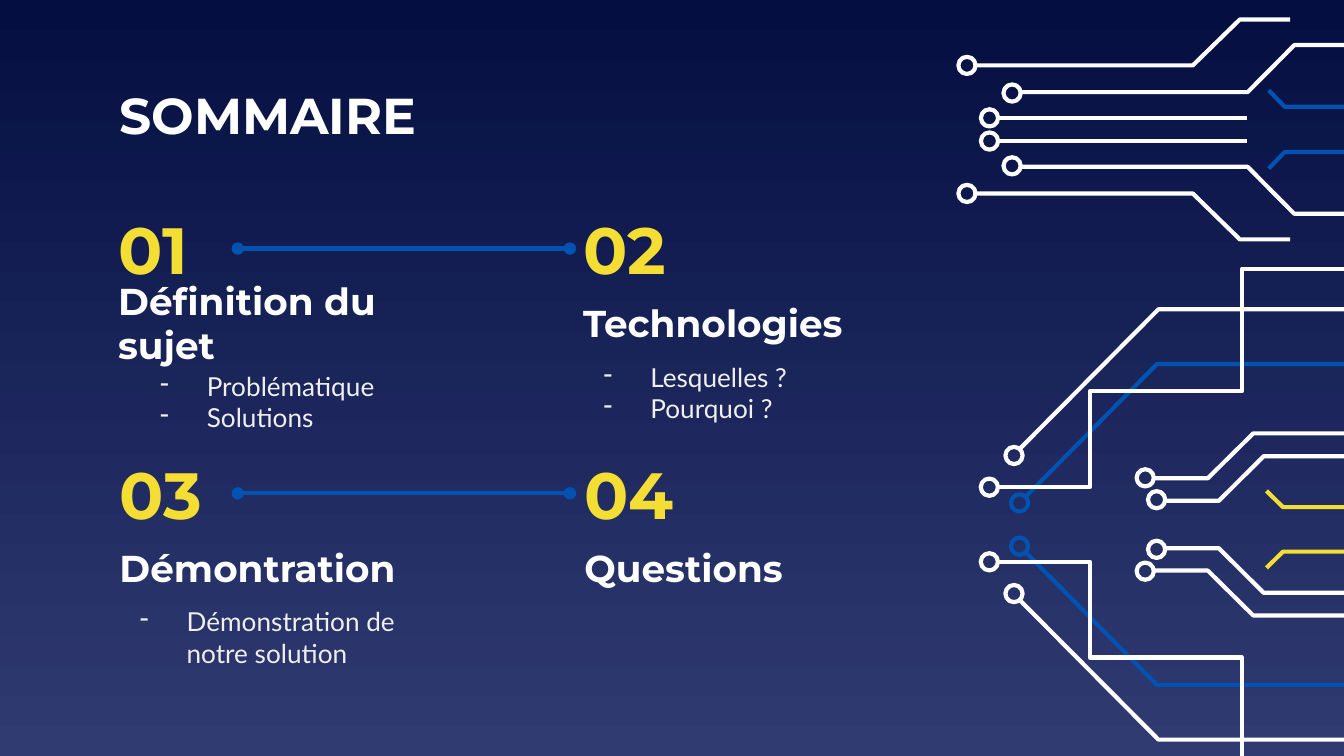
"""Build the SOMMAIRE slide: four numbered topics beside a mirrored circuit pattern."""
from dataclasses import dataclass

from lxml.etree import SubElement
from pptx import Presentation
from pptx.dml.color import RGBColor
from pptx.enum.shapes import MSO_CONNECTOR, MSO_SHAPE
from pptx.enum.text import MSO_ANCHOR, PP_ALIGN
from pptx.oxml.ns import qn
from pptx.util import Pt


@dataclass(frozen=True)
class Theme:
    sky: str = "040E41"
    ground: str = "303B72"
    white: str = "FFFFFF"
    blue: str = "0152B1"
    yellow: str = "F5DE34"
    pale: str = "EFEFEF"
    heading_font: str = "Montserrat"
    body_font: str = "Lato"
    title_size: float = 27
    number_size: float = 35
    topic_size: float = 20
    body_size: float = 14
    stroke: float = 2.25
    inset: float = 7.2
    node: float = 9.2


class CircuitSlide:
    def __init__(self, slide, theme):
        self.slide = slide
        self.theme = theme

    def background(self):
        fill = self.slide.background.fill
        fill.gradient()
        fill.gradient_angle = 270
        for stop, color in zip(fill.gradient_stops, (self.theme.sky, self.theme.ground)):
            stop.color.rgb = RGBColor.from_string(color)

    def stroke(self, shape, color):
        shape.line.color.rgb = RGBColor.from_string(color)
        shape.line.width = Pt(self.theme.stroke)

    def outline(self, shape, color):
        shape.shadow.inherit = False
        shape.fill.background()
        self.stroke(shape, color)

    def trace(self, points, color):
        start, *rest = [(Pt(x), Pt(y)) for x, y in points]
        builder = self.slide.shapes.build_freeform(*start)
        builder.add_line_segments(rest, close=False)
        self.outline(builder.convert_to_shape(), color)

    def node(self, center, color):
        x, y = center
        size = self.theme.node
        self.outline(self.slide.shapes.add_shape(
            MSO_SHAPE.OVAL, Pt(x - size / 2), Pt(y - size / 2), Pt(size), Pt(size)), color)

    def mirrored(self, axis, color, center, points):
        for side in (-1, 1):
            self.trace([(x, axis + side * gap) for x, gap in points], color)
            if center:
                self.node((center[0], axis + side * center[1]), color)

    def link(self, left, right, y):
        link = self.slide.shapes.add_connector(
            MSO_CONNECTOR.STRAIGHT, Pt(left), Pt(y), Pt(right), Pt(y))
        self.stroke(link, self.theme.blue)
        for end in ("a:headEnd", "a:tailEnd"):
            SubElement(link.line._get_or_add_ln(), qn(end), type="oval")
        SubElement(link._element.spPr, qn("a:effectLst"))

    def text(self, lines, left, top, width, height, size, color, heading=True):
        frame = self.slide.shapes.add_textbox(Pt(left), Pt(top), Pt(width), Pt(height)).text_frame
        frame.word_wrap = True
        frame.vertical_anchor = MSO_ANCHOR.MIDDLE
        frame.margin_left = frame.margin_right = Pt(self.theme.inset)
        frame.margin_top = frame.margin_bottom = Pt(self.theme.inset)
        frame.text = "\n".join(lines)
        for paragraph in frame.paragraphs:
            paragraph.alignment = PP_ALIGN.LEFT
            font = paragraph.font
            font.name = self.theme.heading_font if heading else self.theme.body_font
            font.size = Pt(size)
            font.bold = heading
            font.color.rgb = RGBColor.from_string(color)
        return frame

    def details(self, lines, bulleted, left, top):
        frame = self.text(lines, left, top, 173.5, 41.8,
                          self.theme.body_size, self.theme.pale, heading=False)
        for index, paragraph in enumerate(frame.paragraphs):
            properties = paragraph._p.get_or_add_pPr()
            properties.set("marL", str(Pt(36)))
            properties.set("indent", str(Pt(-25 if index < bulleted else 0)))
            if index < bulleted:
                bullet = SubElement(properties, qn("a:buChar"), char="-")
                properties.insert(0, bullet)

    def topic(self, number, name, left, top):
        theme = self.theme
        self.text([number], left, top, 71.3, 41.8, theme.number_size, theme.yellow)
        self.text([name], left, top + 41.8, 173.5, 37.4, theme.topic_size, theme.white)


theme = Theme()
deck = Presentation()
deck.slide_width, deck.slide_height = Pt(720), Pt(405)
summary = CircuitSlide(deck.slides.add_slide(deck.slide_layouts[6]), theme)
summary.background()

UPPER_AXIS, LOWER_AXIS, SPARK_AXIS = 69.35, 281, 283.6
EDGE = 720
circuits = [
    (UPPER_AXIS, theme.blue, None, [(679.7, 21), (688.3, 12.1), (EDGE, 12.1)]),
    (UPPER_AXIS, theme.white, (518, 34.3),
     [(521.5, 34.3), (639, 34.3), (664.2, 58.9), (691.2, 58.9)]),
    (UPPER_AXIS, theme.white, (542.2, 19.5),
     [(545.8, 20), (668.4, 20), (693.4, 45.2), (EDGE, 45.2)]),
    (UPPER_AXIS, theme.white, (530.1, 6.2), [(533.5, 6.3), (668.2, 6.3)]),
    (SPARK_AXIS, theme.yellow, None, [(678.5, 20.6), (687.4, 11.9), (EDGE, 11.9)]),
    (LOWER_AXIS, theme.white, (619.6, 13.3),
     [(623.5, 12.7), (653, 12.7), (677, 36.6), (EDGE, 36.6)]),
    (LOWER_AXIS, theme.white, (613.5, 25),
     [(617.8, 24.7), (647, 24.7), (671.4, 48.8), (EDGE, 48.8)]),
    (LOWER_AXIS, theme.blue, (546.2, 11.6), [(548.6, 14), (619.9, 86), (EDGE, 86)]),
    (LOWER_AXIS, theme.white, (543.2, 37), [(545.8, 40), (620.6, 115.3), (EDGE, 115.3)]),
]
for circuit in circuits:
    summary.mirrored(*circuit)

stair = [(533.5, 20), (583.9, 20), (583.9, 71.3), (665.3, 71.3)]
stair_ends = {-1: [(665.3, 137), (EDGE, 137)], 1: [(665.3, 124)]}
for side, ending in stair_ends.items():
    summary.trace([(x, LOWER_AXIS + side * gap) for x, gap in stair + ending], theme.white)
    summary.node((530, LOWER_AXIS + side * 20), theme.white)

summary.text(["SOMMAIRE"], 56.9, 42.5, 422.6, 37.4, theme.title_size, theme.white)

topic_rows = [
    (56.2, 112.3, [("01", "Définition du sujet"), ("02", "Technologies")]),
    (56.9, 243.4, [("03", "Démontration"), ("04", "Questions")]),
]
for left, top, topics in topic_rows:
    for column, (number, name) in enumerate(topics):
        summary.topic(number, name, left + column * 249.1, top)
    summary.link(127.4, 305.3, top + 20.9)

summary.details(["Problématique", "Solutions"], 2, 67.7, 194.2)
summary.details(["Lesquelles ?", "Pourquoi ?"], 2, 305.3, 189.4)
summary.details(["Démonstration de", "notre solution"], 1, 56.9, 320.4)

deck.save("out.pptx")
